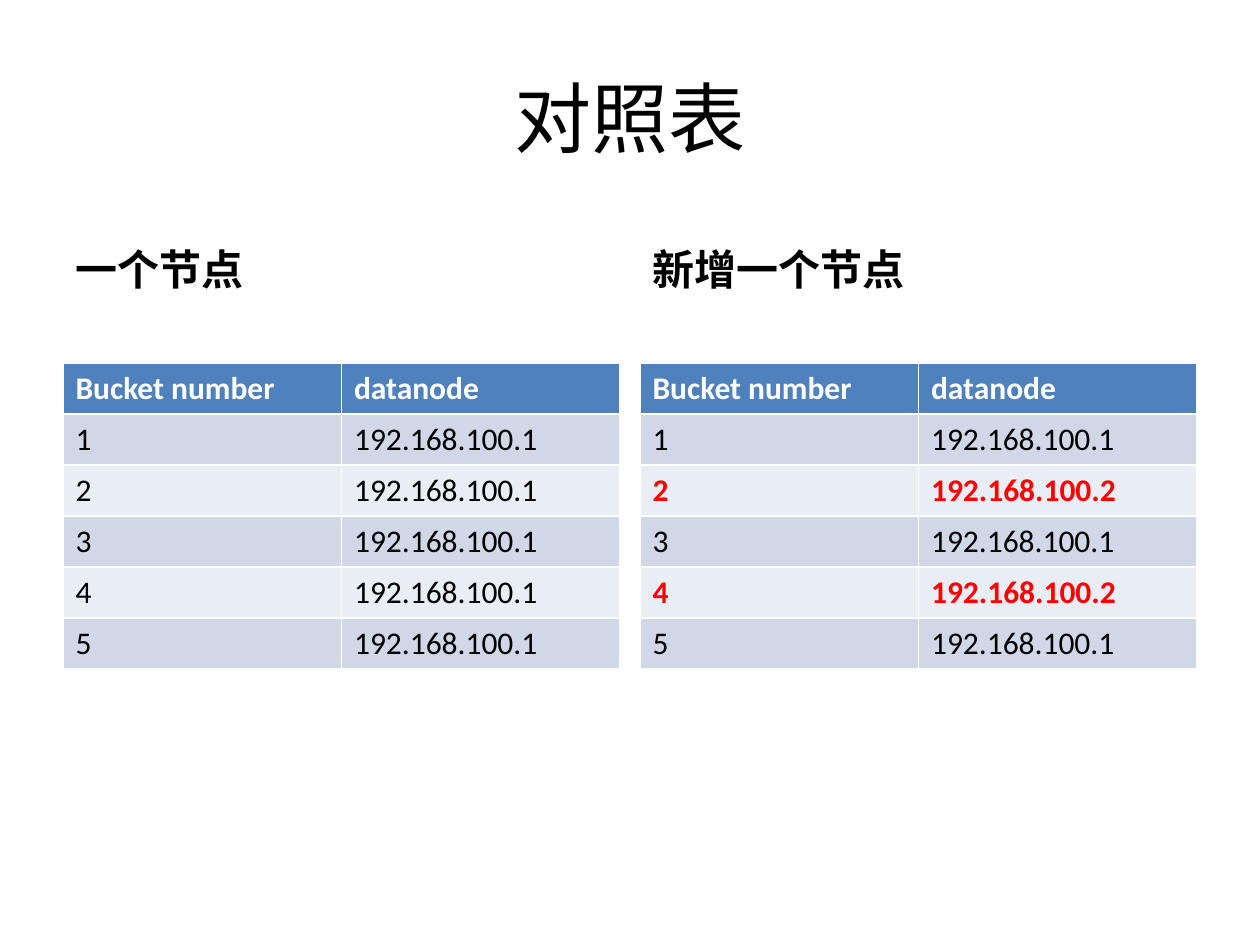
import pptx
import pptx.util
import pptx.dml.color
import pptx.enum.text

RGB = pptx.dml.color.RGBColor
BLACK, WHITE, RED = RGB(0, 0, 0), RGB(255, 255, 255), RGB(255, 0, 0)
HEADER_BLUE = RGB(0x4F, 0x81, 0xBD)
BANDS = [RGB(0xE9, 0xED, 0xF4), RGB(0xD0, 0xD8, 0xE8)]
FONT = "Calibri"
ANCHOR = pptx.enum.text.MSO_ANCHOR
ALIGN = pptx.enum.text.PP_ALIGN

# Content: node address of each bucket, and the buckets that moved
TITLE = "对照表"
HEADERS = ("Bucket number", "datanode")
BUCKETS = range(1, 6)
OLD_NODE, NEW_NODE = "192.168.100.1", "192.168.100.2"
PANELS = [("一个节点", ()), ("新增一个节点", (2, 4))]

# Layout in pixels
SCALE = 914400 / 126
MARGIN, PANEL_W, PANEL_STEP = 63, 557, 577
HEADING_Y, HEADING_H = 212, 88
TABLE_Y, ROW_H = 363, 51


def px(n):
    return pptx.util.Emu(round(n * SCALE))


def box(*lengths):
    return [px(n) for n in lengths]


def format_text(tf, size, color, bold=False):
    for p in tf.paragraphs:
        for r in p.runs:
            r.font.name = FONT
            r.font.size = pptx.util.Pt(size)
            r.font.bold = bold
            r.font.color.rgb = color


def add_heading(s, x, text):
    tf = s.shapes.add_textbox(*box(x, HEADING_Y, PANEL_W, HEADING_H)).text_frame
    tf.word_wrap = True
    tf.vertical_anchor = ANCHOR.BOTTOM
    tf.text = text
    tf.paragraphs[0].space_before = pptx.util.Pt(4.8)
    format_text(tf, 24, BLACK, True)


def add_bucket_table(s, x, moved):
    rows = [(HEADERS, HEADER_BLUE, WHITE, True)]
    for n in BUCKETS:
        is_moved = n in moved
        node = NEW_NODE if is_moved else OLD_NODE
        rows.append(((str(n), node), BANDS[n % 2], RED if is_moved else BLACK, is_moved))
    frame = s.shapes.add_table(len(rows), len(HEADERS),
                               *box(x, TABLE_Y, PANEL_W, ROW_H * len(rows)))
    table = frame.table
    for i, (values, fill, color, bold) in enumerate(rows):
        table.rows[i].height = px(ROW_H)
        for cell, value in zip(table.rows[i].cells, values):
            cell.text = value
            cell.fill.solid()
            cell.fill.fore_color.rgb = fill
            format_text(cell.text_frame, 18, color, bold)


prs = pptx.Presentation()
prs.slide_width, prs.slide_height = box(1260, 945)
s = prs.slides.add_slide(prs.slide_layouts[5])

# Title
title = s.shapes.title
title.left, title.top, title.width, title.height = box(MARGIN, 38, 1134, 157)
title.text_frame.text = TITLE
title.text_frame.vertical_anchor = ANCHOR.MIDDLE
title.text_frame.paragraphs[0].alignment = ALIGN.CENTER
format_text(title.text_frame, 44, BLACK)

# Panels side by side
for i, (heading, moved) in enumerate(PANELS):
    x = MARGIN + i * PANEL_STEP
    add_heading(s, x, heading)
    add_bucket_table(s, x, moved)

prs.save("out.pptx")
